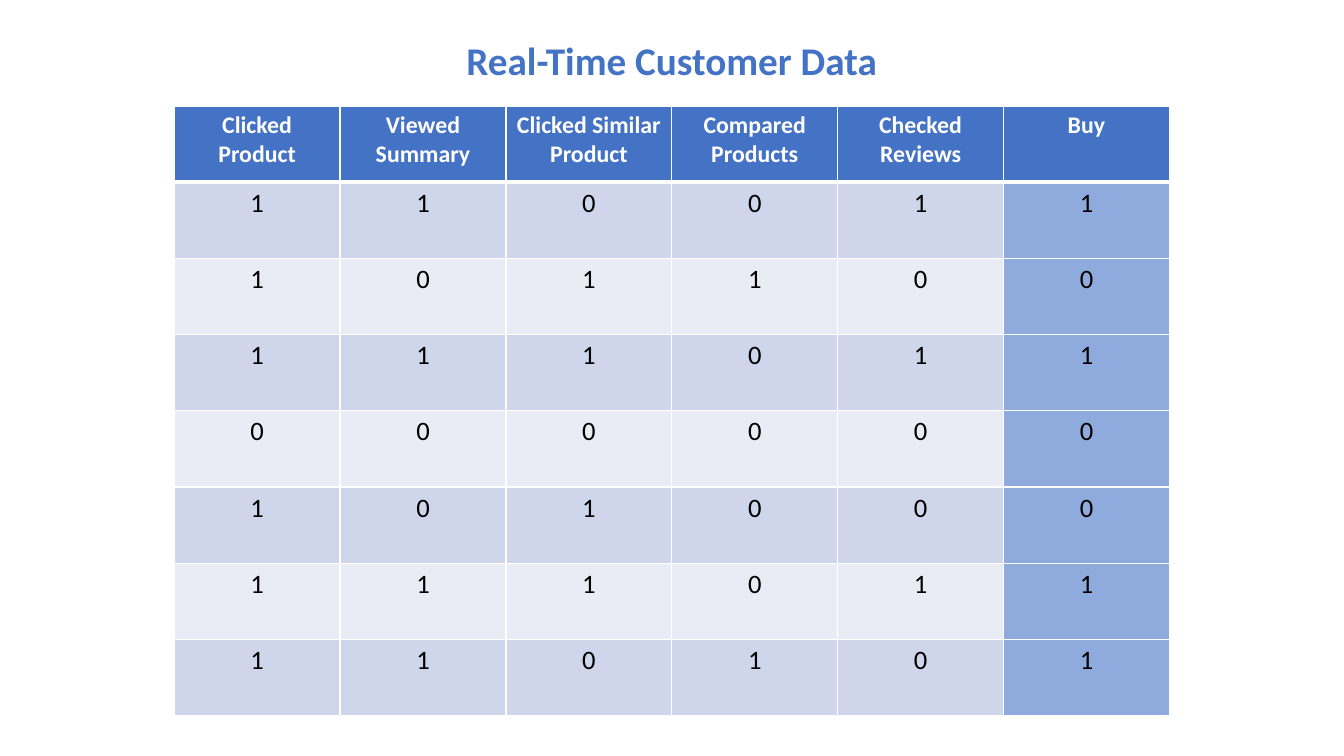
from dataclasses import dataclass

from lxml import etree
from pptx import Presentation
from pptx.dml.color import RGBColor
from pptx.enum.text import MSO_ANCHOR, MSO_AUTO_SIZE, PP_ALIGN
from pptx.oxml.ns import qn
from pptx.util import Cm, Pt

CENTER = PP_ALIGN.CENTER
TOP = MSO_ANCHOR.TOP
GROW = MSO_AUTO_SIZE.SHAPE_TO_FIT_TEXT


@dataclass(frozen=True)
class Theme:
    font: str = "Calibri"
    accent: str = "4472C4"
    outcome: str = "8FAADC"
    bands: tuple = ("CFD5EA", "E9EBF5")
    white: str = "FFFFFF"
    black: str = "000000"
    title_size: int = 28
    header_size: int = 17
    value_size: int = 19
    rule: int = 1
    header_rule: int = 3


THEME = Theme()


def write(paragraph, text, size, color, bold):
    paragraph.alignment = CENTER
    run = paragraph.add_run()
    run.text = text
    run.font.name = THEME.font
    run.font.size = Pt(size)
    run.font.bold = bold
    run.font.color.rgb = RGBColor.from_string(color)


def add_border(cell, side, width):
    line = etree.SubElement(cell._tc.get_or_add_tcPr(), qn(f"a:ln{side}"), w=str(Pt(width)))
    fill = etree.SubElement(line, qn("a:solidFill"))
    etree.SubElement(fill, qn("a:srgbClr"), val=THEME.white)


# Slide with title only
deck = Presentation()
deck.slide_width, deck.slide_height = Cm(33.87), Cm(19.05)
slide = deck.slides.add_slide(deck.slide_layouts[5])

# Title
title = slide.shapes.title
title.left, title.top, title.width, title.height = Cm(11.4), Cm(0.79), Cm(11.05), Cm(1.45)
heading = title.text_frame
heading.word_wrap = False
heading.auto_size = GROW
heading.vertical_anchor = TOP
write(heading.paragraphs[0], "Real-Time Customer Data", THEME.title_size, THEME.accent, True)

# Customer actions, with the purchase as the last column
actions = ["Clicked Product", "Viewed Summary", "Clicked Similar Product",
           "Compared Products", "Checked Reviews", "Buy"]
customers = ["110011", "101100", "111011", "000000", "101000", "111011", "110101"]
records = [actions] + [list(customer) for customer in customers]

# Table grid
column_width, row_height = Cm(4.18), Cm(1.92)
customer_table = slide.shapes.add_table(
    len(records), len(actions), Cm(4.39), Cm(2.67),
    column_width * len(actions), row_height * len(records)).table
for column in customer_table.columns:
    column.width = column_width
for row in customer_table.rows:
    row.height = row_height

# Cells
for r, record in enumerate(records):
    for c, value in enumerate(record):
        cell = customer_table.cell(r, c)
        for side in "LRTB":
            under_header = (r, side) in ((0, "B"), (1, "T"))
            add_border(cell, side, THEME.header_rule if under_header else THEME.rule)
        if r == 0:
            fill, size, color = THEME.accent, THEME.header_size, THEME.white
        else:
            is_outcome = c == len(actions) - 1
            fill = THEME.outcome if is_outcome else THEME.bands[(r - 1) % 2]
            size, color = THEME.value_size, THEME.black
        cell.fill.solid()
        cell.fill.fore_color.rgb = RGBColor.from_string(fill)
        write(cell.text_frame.paragraphs[0], value, size, color, r == 0)

deck.save("out.pptx")
